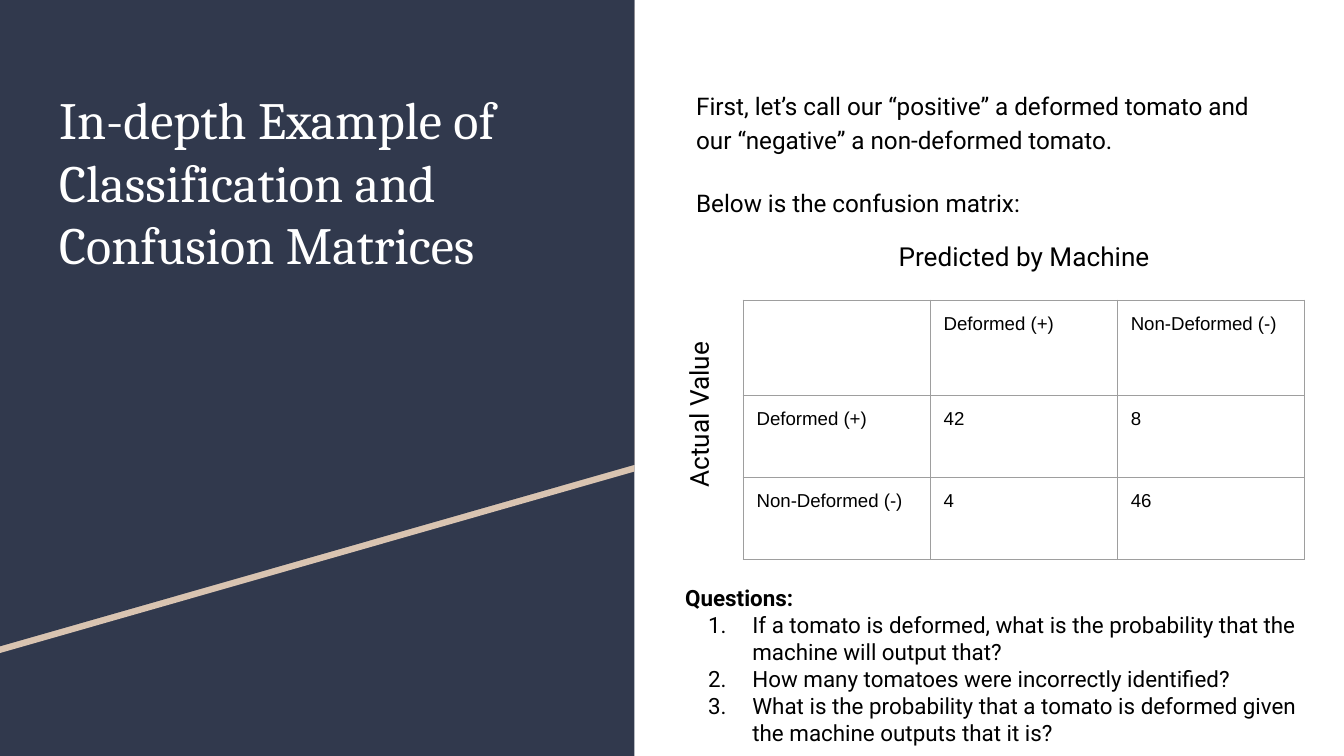
from pptx import Presentation
from pptx.dml.color import RGBColor
from pptx.enum.shapes import MSO_SHAPE
from pptx.enum.text import MSO_ANCHOR, MSO_AUTO_SIZE, PP_ALIGN
from pptx.oxml import parse_xml
from pptx.oxml.ns import nsdecls
from pptx.util import Inches, Pt

THEME = {
    "navy": RGBColor(0x31, 0x39, 0x4D),
    "sand": RGBColor(0xD9, 0xC4, 0xB1),
    "white": RGBColor(0xFF, 0xFF, 0xFF),
    "black": RGBColor(0, 0, 0),
    "border": "9E9E9E",
    "title": ("Cambria", 28),
    "body": ("Roboto", 13),
    "axis": ("Roboto", 14),
    "questions": ("Roboto", 12),
    "cell": ("Arial", 10),
}

prs = Presentation()
prs.slide_width = Inches(10)
prs.slide_height = prs.slide_width * 9 // 16
COL, ROW = prs.slide_width / 100, prs.slide_height / 100  # 100 x 100 grid
slide = prs.slides.add_slide(prs.slide_layouts[1])
shapes = slide.shapes


def grid(left, top, width, height):
    return [round(n) for n in (left * COL, top * ROW, width * COL, height * ROW)]


def write(frame, lines, style, color=THEME["black"], align=PP_ALIGN.LEFT):
    """Fill a frame, one run per paragraph, and return the paragraphs."""
    frame.word_wrap = True
    frame.auto_size = MSO_AUTO_SIZE.NONE
    frame.vertical_anchor = MSO_ANCHOR.TOP
    frame.margin_left = frame.margin_right = Inches(0.1)
    frame.margin_top = frame.margin_bottom = Inches(0.1)
    for number, line in enumerate(lines):
        paragraph = frame.add_paragraph() if number else frame.paragraphs[0]
        paragraph.alignment = align
        paragraph.space_before = Pt(0)
        run = paragraph.add_run()
        run.text = line
        run.font.name, size = THEME[style]
        run.font.size = Pt(size)
        run.font.color.rgb = color
    return frame.paragraphs


# Navy panel, then a sand wedge with a navy wedge over it, leaving a diagonal stripe
PANEL = 47.2
panel = shapes.add_shape(MSO_SHAPE.RECTANGLE, *grid(0, 0, PANEL, 100))
wedges = []
for drop, tone in ((0.89, "sand"), (0, "navy")):
    outline = shapes.build_freeform(0, round(drop * ROW))
    outline.add_line_segments([
        (round(x * COL), round((y + drop) * ROW))
        for x, y in ((PANEL, 0), (PANEL, 61.5), (0, 85.5))
    ])
    wedges.append((outline.convert_to_shape(), tone))
for backdrop, tone in [(panel, "navy"), *wedges]:
    backdrop.shadow.inherit = False
    backdrop.fill.solid()
    backdrop.fill.fore_color.rgb = THEME[tone]
    backdrop.line.fill.background()

# Title and introduction, brought in front of the panel
title, intro = shapes.title, slide.placeholders[1]
for holder, place in (
    (title, (3.4, 9.75, 40.5, 48.7)),
    (intro, (50.8, 9.75, 45.6, 66.7)),
):
    holder.left, holder.top, holder.width, holder.height = grid(*place)
    shapes._spTree.append(holder._element)

write(title.text_frame, ["In-depth Example of Classification and Confusion Matrices"],
      "title", THEME["white"])
intro_lines = write(intro.text_frame, [
    "First, let’s call our “positive” a deformed tomato and our “negative” a non-deformed tomato.",
    "Below is the confusion matrix:",
], "body")
for line in intro_lines:
    properties = line._p.get_or_add_pPr()
    properties.set("marL", "0")
    properties.set("indent", "0")
    properties.append(parse_xml(f"<a:buNone {nsdecls('a')}/>"))
    line.line_spacing = 1.15
intro_lines[1].space_before = Pt(16)

# Confusion matrix
counts = [
    ["", "Deformed (+)", "Non-Deformed (-)"],
    ["Deformed (+)", "42", "8"],
    ["Non-Deformed (-)", "4", "46"],
]
matrix = shapes.add_table(3, 3, *grid(55.3, 39.7, 41.7, 34.3)).table
matrix.first_row = matrix.horz_banding = False
for column in matrix.columns:
    column.width = round(13.92 * COL)
for row, height in zip(matrix.rows, (12.65, 10.83, 10.83)):
    row.height = round(height * ROW)
for row, texts in zip(matrix.rows, counts):
    for cell, text in zip(row.cells, texts):
        cell.margin_left = cell.margin_right = Inches(0.1)
        cell.margin_top = cell.margin_bottom = Inches(0.1)
        if text:
            run = cell.text_frame.paragraphs[0].add_run()
            run.text = text
            run.font.name, size = THEME["cell"]
            run.font.size = Pt(size)
            run.font.color.rgb = THEME["black"]
        properties = cell._tc.get_or_add_tcPr()
        for side in ("lnL", "lnR", "lnT", "lnB"):
            properties.append(parse_xml(
                f'<a:{side} {nsdecls("a")} w="{Pt(0.75)}"><a:solidFill>'
                f'<a:srgbClr val="{THEME["border"]}"/></a:solidFill></a:{side}>'))
        cell.fill.background()

# Axis labels of the matrix
for label, left, top, turn in (
    ("Predicted by Machine", 62.9, 30.05, 0),
    ("Actual Value", 38.8, 50.75, 270),
):
    axis = shapes.add_textbox(*grid(left, top, 26.6, 8.2))
    axis.rotation = turn
    write(axis.text_frame, [label], "axis", align=PP_ALIGN.CENTER)

# Numbered questions
questions = shapes.add_textbox(*grid(50, 75.55, 48.7, 23.65))
heading, *items = write(questions.text_frame, [
    "Questions:",
    "If a tomato is deformed, what is the probability that the machine will output that?",
    "How many tomatoes were incorrectly identified?",
    "What is the probability that a tomato is deformed given the machine outputs that it is?",
], "questions")
heading.runs[0].font.bold = True
for item in items:
    properties = item._p.get_or_add_pPr()
    properties.set("marL", str(Inches(0.5)))
    properties.set("indent", str(-Inches(0.33)))
    properties.append(parse_xml(
        f'<a:buClr {nsdecls("a")}><a:srgbClr val="{THEME["black"]}"/></a:buClr>'))
    properties.append(parse_xml(f'<a:buFont {nsdecls("a")} typeface="Roboto"/>'))
    properties.append(parse_xml(f'<a:buAutoNum {nsdecls("a")} type="arabicPeriod"/>'))

prs.save("out.pptx")
